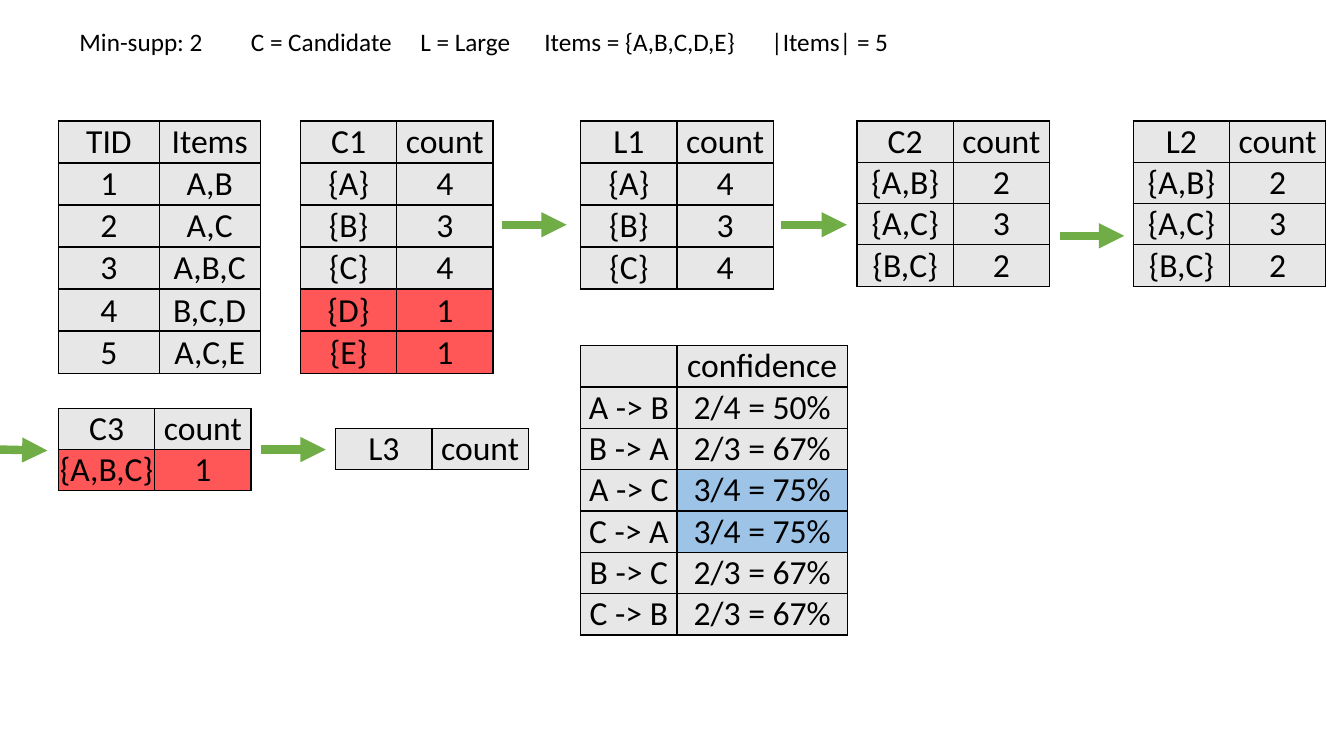
from lxml import etree
from pptx import Presentation
from pptx.dml.color import RGBColor
from pptx.enum.shapes import MSO_CONNECTOR
from pptx.enum.text import MSO_ANCHOR, PP_ALIGN
from pptx.oxml.ns import qn
from pptx.util import Inches, Pt

STRAIGHT = MSO_CONNECTOR.STRAIGHT
BOTTOM = MSO_ANCHOR.BOTTOM
CENTER = PP_ALIGN.CENTER
FONT = "Calibri"
BLACK, GREY, RED, BLUE, GREEN = "000000", "E7E7E7", "FF5757", "9DC3E6", "70AD47"
TOP = 1.2
COUNT_COLUMNS = (0.955, 0.955)
TALL_ROW, LOW_ROW = 0.417, 0.41

PAIR_COUNTS = [("{A,B}", "2"), ("{A,C}", "3"), ("{B,C}", "2")]
ITEM_COUNTS = [("{A}", "4"), ("{B}", "3"), ("{C}", "4")]
TRANSACTIONS = [("TID", "Items"), ("1", "A,B"), ("2", "A,C"),
                ("3", "A,B,C"), ("4", "B,C,D"), ("5", "A,C,E")]
RULES = [("", "confidence"), ("A -> B", "2/4 = 50%"), ("B -> A", "2/3 = 67%"),
         ("A -> C", "3/4 = 75%"), ("C -> A", "3/4 = 75%"),
         ("B -> C", "2/3 = 67%"), ("C -> B", "2/3 = 67%")]
ARROWS = [(4.98, 2.23, 5.62, 2.23), (7.75, 2.23, 8.4, 2.23),
          (10.51, 2.34, 11.15, 2.34), (2.59, 4.46, 3.23, 4.46),
          (0, 4.46, 0.47, 4.47)]


def color(value):
    """Turn a hex string into a colour."""
    return RGBColor.from_string(value)


def style_paragraph(para, size):
    """Set the font of a whole paragraph."""
    para.font.name = FONT
    para.font.size = Pt(size)
    para.font.color.rgb = color(BLACK)


def add_borders(cell):
    """Draw a thin black line on every side of a cell."""
    properties = cell._tc.get_or_add_tcPr()
    for side in ("a:lnL", "a:lnR", "a:lnT", "a:lnB"):
        line = etree.SubElement(properties, qn(side), w=str(Pt(1)))
        fill = etree.SubElement(line, qn("a:solidFill"))
        etree.SubElement(fill, qn("a:srgbClr"), val=BLACK)


def fill_cell(cell, text, shade):
    """Write, border and shade one table cell."""
    cell.margin_left = cell.margin_right = Inches(0.01)
    cell.margin_top = cell.margin_bottom = 0
    cell.vertical_anchor = BOTTOM
    para = cell.text_frame.paragraphs[0]
    if text:
        para.text = text
    para.alignment = CENTER
    style_paragraph(para, 24)
    add_borders(cell)
    cell.fill.solid()
    cell.fill.fore_color.rgb = color(shade)


def add_grid(page, left, top, rows, row_height=LOW_ROW, columns=COUNT_COLUMNS, shades=None):
    """Add a two-column table; shades maps (row, column) to a fill."""
    shades = shades or {}
    frame = page.shapes.add_table(len(rows), len(columns), Inches(left), Inches(top),
                                  Inches(sum(columns)), Inches(row_height * len(rows)))
    table = frame.table
    table.first_row = table.horz_banding = False
    for column, width in zip(table.columns, columns):
        column.width = Inches(width)
    for row_index, texts in enumerate(rows):
        table.rows[row_index].height = Inches(row_height)
        for column_index, text in enumerate(texts):
            shade = shades.get((row_index, column_index), GREY)
            fill_cell(table.cell(row_index, column_index), text, shade)


def add_counts(page, left, top, name, rows, row_height=LOW_ROW, pruned=()):
    """Add an itemset table with its pruned rows in red."""
    shades = {(row, column): RED for row in pruned for column in (0, 1)}
    add_grid(page, left, top, [(name, "count"), *rows], row_height, shades=shades)


def add_note(page, left, width, text, stops=()):
    """Add a line of text with optional tab stops."""
    box = page.shapes.add_textbox(Inches(left), Inches(0.21), Inches(width), Inches(0.4))
    box.text_frame.word_wrap = True
    para = box.text_frame.paragraphs[0]
    para.text = text
    if stops:
        tabs = etree.SubElement(para._p.get_or_add_pPr(), qn("a:tabLst"))
        for stop in stops:
            etree.SubElement(tabs, qn("a:tab"), pos=str(Inches(stop)), algn="l")
    style_paragraph(para, 18)


def add_arrow(page, start_x, start_y, end_x, end_y):
    """Add a thick green arrow."""
    arrow = page.shapes.add_connector(STRAIGHT, Inches(start_x), Inches(start_y),
                                      Inches(end_x), Inches(end_y))
    arrow.line.color.rgb = color(GREEN)
    arrow.line.width = Pt(6)
    etree.SubElement(arrow.line._get_or_add_ln(), qn("a:tailEnd"), type="triangle")
    etree.SubElement(arrow._element.spPr, qn("a:effectLst"))


def main():
    """Build the slide and save it."""
    deck = Presentation()
    deck.slide_width, deck.slide_height = Inches(13.33), Inches(7.5)
    page = deck.slides.add_slide(deck.slide_layouts[6])

    add_note(page, 0.69, 1.44, "Min-supp: 2")
    add_note(page, 2.39, 6.68,
             "C = Candidate\tL = Large\tItems = {A,B,C,D,E}\t|Items| = 5", (1.68, 2.91, 5.16))

    add_grid(page, 0.58, TOP, TRANSACTIONS, TALL_ROW, (1, 1))
    add_counts(page, 2.98, TOP, "C1", [*ITEM_COUNTS, ("{D}", "1"), ("{E}", "1")],
               TALL_ROW, pruned=(4, 5))
    add_counts(page, 5.76, TOP, "L1", ITEM_COUNTS, TALL_ROW)
    add_counts(page, 8.5, TOP, "C2", PAIR_COUNTS)
    add_counts(page, 11.24, TOP, "L2", PAIR_COUNTS)
    add_counts(page, 0.58, 4.05, "C3", [("{A,B,C}", "1")], pruned=(1,))
    add_counts(page, 3.33, 4.25, "L3", [])
    add_grid(page, 5.76, 3.43, RULES, columns=(0.955, 1.69),
             shades={(3, 1): BLUE, (4, 1): BLUE})

    for ends in ARROWS:
        add_arrow(page, *ends)
    deck.save("out.pptx")


if __name__ == "__main__":
    main()
